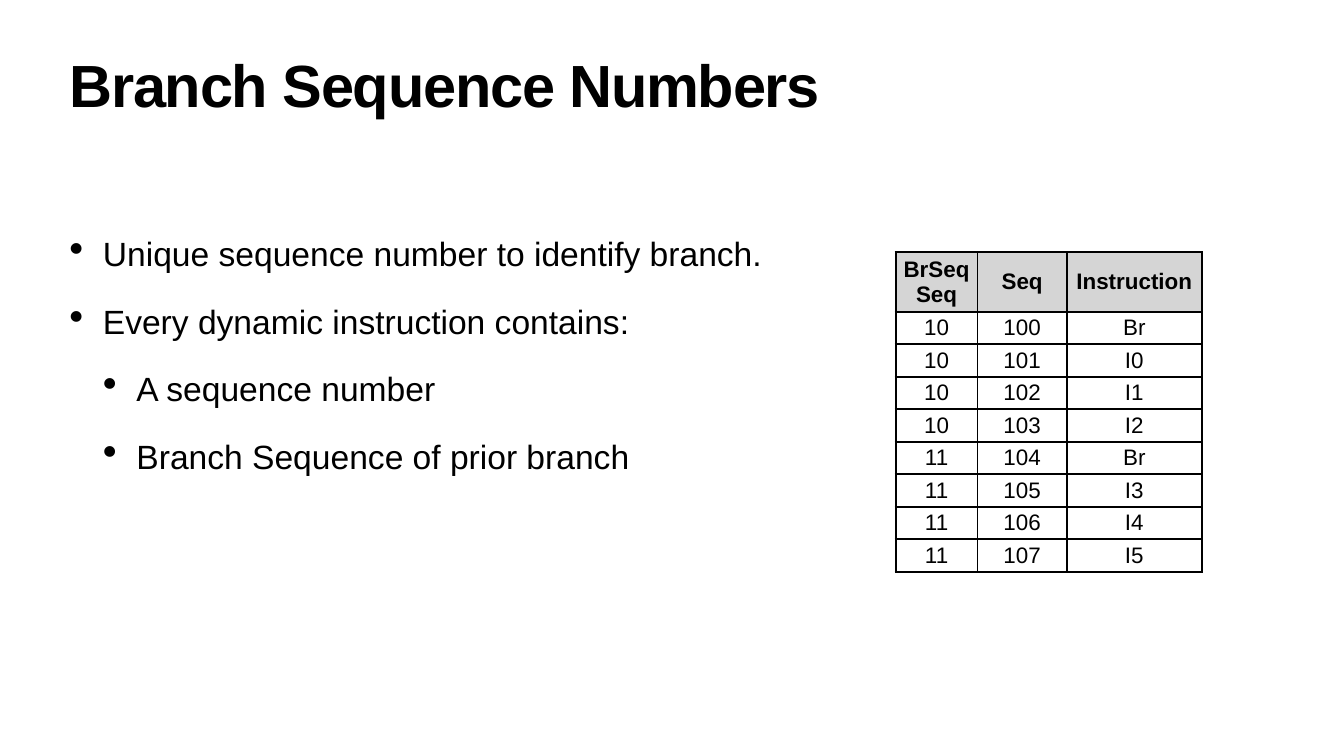
from pptx import Presentation
from pptx.dml.color import RGBColor
from pptx.enum.text import MSO_ANCHOR, PP_ALIGN
from pptx.oxml import parse_xml
from pptx.oxml.ns import nsdecls
from pptx.util import Pt

# Content
TITLE = "Branch Sequence Numbers"
BULLETS = [
    (0, "Unique sequence number to identify branch."),
    (0, "Every dynamic instruction contains:"),
    (1, "A sequence number"),
    (1, "Branch Sequence of prior branch"),
]
HEADER = ("BrSeq Seq", "Seq", "Instruction")
INSTRUCTIONS = ("Br", "I0", "I1", "I2", "Br", "I3", "I4", "I5")
BRANCH_SEQ, FIRST_SEQ, GROUP = 10, 100, 4
ROWS = [HEADER] + [
    (str(BRANCH_SEQ + i // GROUP), str(FIRST_SEQ + i), name)
    for i, name in enumerate(INSTRUCTIONS)
]

# Layout, in points
LEFT, TEXT_WIDTH, INSET = 95, 1730, 4
COLUMN_WIDTHS = (117, 127.5, 193)
ROW_HEIGHT, INDENT = 44.7, 48
BLACK, GREY, WHITE = "000000", "D5D5D5", "FFFFFF"


def color(value):
    return RGBColor.from_string(value)


def style_run(paragraph, text, size, bold=False):
    run = paragraph.add_run()
    run.text = text
    run.font.name, run.font.size, run.font.bold = "Arial", Pt(size), bold
    run.font.color.rgb = color(BLACK)
    return run


def add_text_frame(slide, top, height):
    box = slide.shapes.add_textbox(Pt(LEFT), Pt(top), Pt(TEXT_WIDTH), Pt(height))
    frame = box.text_frame
    frame.word_wrap = True
    frame.margin_left = frame.margin_right = Pt(INSET)
    frame.margin_top = frame.margin_bottom = Pt(INSET)
    return frame


def add_bullet(paragraph, level):
    paragraph.level = level
    props = paragraph._p.get_or_add_pPr()
    props.set("marL", str(Pt(INDENT * (level + 1))))
    props.set("indent", str(-Pt(INDENT)))
    props.append(parse_xml(f'<a:buSzPct {nsdecls("a")} val="123000"/>'))
    props.append(parse_xml(f'<a:buChar {nsdecls("a")} char="\u2022"/>'))


def add_borders(cell, width):
    props = cell._tc.get_or_add_tcPr()
    for index, side in enumerate(("lnL", "lnR", "lnT", "lnB")):
        props.insert(index, parse_xml(
            f'<a:{side} {nsdecls("a")} w="{Pt(width)}"><a:solidFill>'
            f'<a:srgbClr val="{BLACK}"/></a:solidFill></a:{side}>'))


prs = Presentation()
prs.slide_width, prs.slide_height = Pt(1920), Pt(1080)
slide = prs.slides.add_slide(prs.slide_layouts[6])
slide.background.fill.solid()
slide.background.fill.fore_color.rgb = color(WHITE)

# Title
title = add_text_frame(slide, 85, 113).paragraphs[0]
title.line_spacing = 0.8
title_run = style_run(title, TITLE, 85, bold=True)
title_run._r.get_or_add_rPr().set("spc", "-170")

# Bullets
body = add_text_frame(slide, 335, 650)
for i, (level, text) in enumerate(BULLETS):
    paragraph = body.paragraphs[0] if i == 0 else body.add_paragraph()
    paragraph.line_spacing, paragraph.space_before = 0.9, Pt(45)
    add_bullet(paragraph, level)
    style_run(paragraph, text, 48)

# Instruction table
table = slide.shapes.add_table(
    len(ROWS), len(HEADER), Pt(1279.5), Pt(360.5),
    Pt(sum(COLUMN_WIDTHS)), Pt(ROW_HEIGHT * len(ROWS))).table
table.horz_banding = False
for column, width in zip(table.columns, COLUMN_WIDTHS):
    column.width = Pt(width)
for r, values in enumerate(ROWS):
    table.rows[r].height = Pt(ROW_HEIGHT)
    for c, value in enumerate(values):
        cell = table.cell(r, c)
        cell.vertical_anchor = MSO_ANCHOR.MIDDLE
        cell.margin_left = cell.margin_right = Pt(INSET)
        cell.margin_top = cell.margin_bottom = Pt(INSET)
        cell.fill.solid()
        cell.fill.fore_color.rgb = color(GREY if r == 0 else WHITE)
        add_borders(cell, 3)
        paragraph = cell.text_frame.paragraphs[0]
        paragraph.alignment = PP_ALIGN.CENTER
        style_run(paragraph, value, 32, bold=r == 0)

prs.save("out.pptx")
